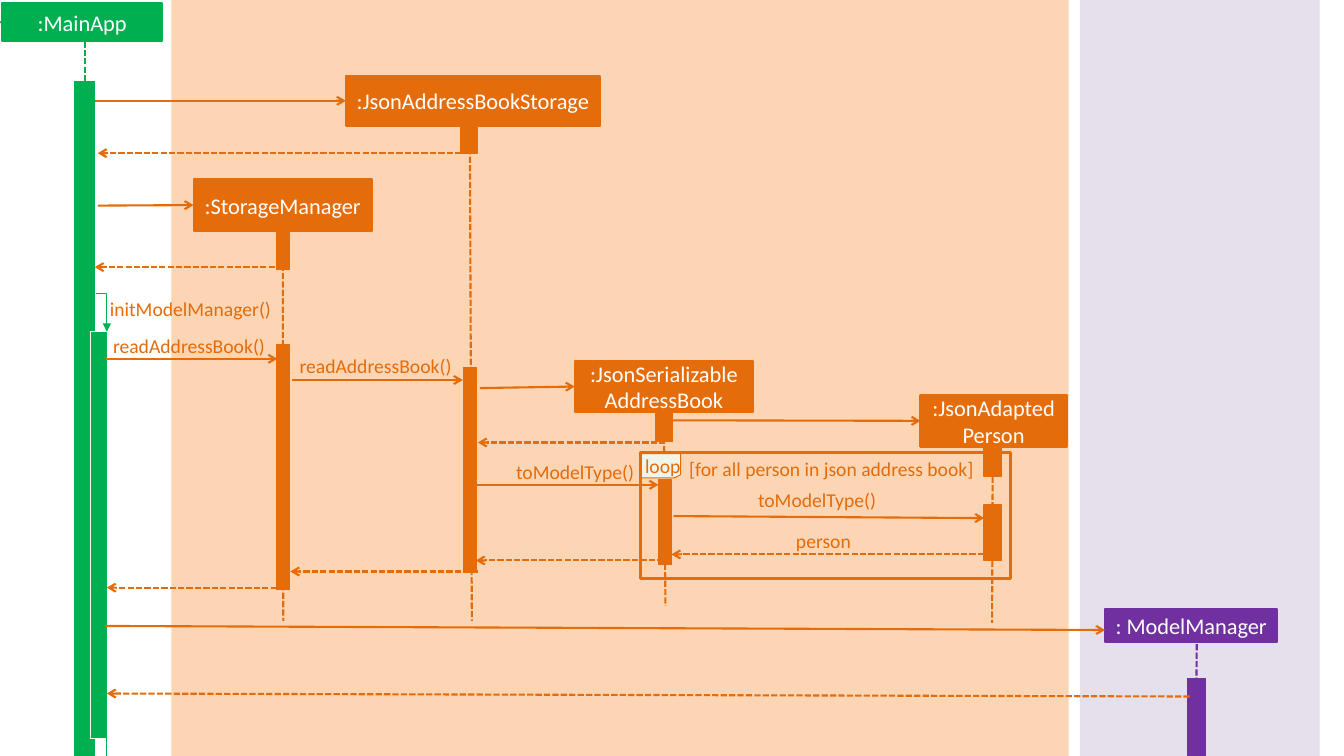
from lxml import etree
from pptx import Presentation
from pptx.dml.color import RGBColor
from pptx.enum.dml import MSO_LINE
from pptx.enum.shapes import MSO_CONNECTOR, MSO_SHAPE
from pptx.enum.text import MSO_ANCHOR, PP_ALIGN
from pptx.oxml.ns import qn
from pptx.util import Inches, Pt

GREEN = RGBColor(0x00, 0xB0, 0x50)
ORANGE = RGBColor(0xE4, 0x6C, 0x0A)
PURPLE = RGBColor(0x70, 0x30, 0xA0)
PEACH = RGBColor(0xFC, 0xD5, 0xB5)
LAVENDER = RGBColor(0xE6, 0xE0, 0xEC)
CREAM = RGBColor(0xF1, 0xF5, 0xE9)
WHITE = RGBColor(0xFF, 0xFF, 0xFF)

RECTANGLE = MSO_SHAPE.RECTANGLE
STRAIGHT, ELBOW = MSO_CONNECTOR.STRAIGHT, MSO_CONNECTOR.ELBOW
DASH = MSO_LINE.SQUARE_DOT
LEFT, CENTER, RIGHT = PP_ALIGN.LEFT, PP_ALIGN.CENTER, PP_ALIGN.RIGHT
TOP, MIDDLE = MSO_ANCHOR.TOP, MSO_ANCHOR.MIDDLE
LEFT_SIDE, BOTTOM_SIDE = 1, 2
BOTTOM = 7.5


def write(s, text, size=14, color=ORANGE, align=RIGHT, anchor=TOP, inset=0):
    tf = s.text_frame
    tf.word_wrap = True
    tf.vertical_anchor = anchor
    tf.margin_left = tf.margin_right = Inches(inset)
    tf.margin_top = tf.margin_bottom = Inches(inset / 2)
    p = tf.paragraphs[0]
    p.alignment = align
    r = p.add_run()
    r.text = text
    r.font.name = "Calibri"
    r.font.size = Pt(size)
    r.font.color.rgb = color


def paint(s, fill=None, line=None, width=0.75):
    s.shadow.inherit = False
    if fill is None:
        s.fill.background()
    else:
        s.fill.solid()
        s.fill.fore_color.rgb = fill
    if line is None:
        s.line.fill.background()
    else:
        s.line.color.rgb = line
        s.line.width = Pt(width)


def add_box(sp, x, y, w, h, fill=None, line=None, width=0.75):
    s = sp.add_shape(RECTANGLE, Inches(x), Inches(y), Inches(w), Inches(h))
    paint(s, fill, line, width)
    return s


def add_participant(sp, name, x, y, w, h, color=ORANGE):
    s = add_box(sp, x, y, w, h, color, color, 1.5)
    write(s, name, size=16, color=WHITE, align=CENTER, anchor=MIDDLE, inset=0.1)
    return s


def add_activation(sp, x, y, w, h, color=ORANGE):
    return add_box(sp, x, y, w, h, color, color)


def add_line(sp, x1, y1, x2, y2, color=ORANGE, width=1.5, dashed=False,
             arrow=None, kind=STRAIGHT):
    s = sp.add_connector(kind, Inches(x1), Inches(y1), Inches(x2), Inches(y2))
    s.line.color.rgb = color
    s.line.width = Pt(width)
    if dashed:
        s.line.dash_style = DASH
    properties = s.line._get_or_add_ln()
    if arrow:
        etree.SubElement(properties, qn("a:tailEnd"), type=arrow)
    etree.SubElement(properties.getparent(), qn("a:effectLst"))
    return s


def add_lifeline(sp, x1, y1, x2, y2, color=ORANGE, source=None):
    s = add_line(sp, x1, y1, x2, y2, color, dashed=True)
    if source is not None:
        s.begin_connect(source, BOTTOM_SIDE)


def add_call(sp, x1, y1, x2, y2, color=ORANGE, target=None):
    s = add_line(sp, x1, y1, x2, y2, color, arrow="arrow")
    if target is not None:
        s.end_connect(target, LEFT_SIDE)


def add_return(sp, x1, y1, x2, y2):
    add_line(sp, x1, y1, x2, y2, dashed=True, arrow="arrow")


def add_self_call(sp, x1, y1, x2, y2):
    s = add_line(sp, x1, y1, x2, y2, GREEN, 0.75, arrow="triangle", kind=ELBOW)
    s._element.spPr.find(qn("a:prstGeom")).set("prst", "bentConnector2")


def add_label(sp, text, x, y, w, align=RIGHT):
    s = sp.add_textbox(Inches(x), Inches(y), Inches(w), Inches(0.24))
    write(s, text, align=align)


def add_loop_tab(sp):
    corners = [(6.75, 4.5), (6.75, 4.71), (6.69, 4.74), (6.36, 4.74)]
    outline = sp.build_freeform(Inches(6.36), Inches(4.5))
    outline.add_line_segments([(Inches(x), Inches(y)) for x, y in corners], close=True)
    s = outline.convert_to_shape()
    paint(s, CREAM, ORANGE)
    write(s, "loop")


def main():
    prs = Presentation()
    prs.slide_width, prs.slide_height = Inches(13.33), Inches(BOTTOM)
    sp = prs.slides.add_slide(prs.slide_layouts[6]).shapes

    add_box(sp, 1.7, 0, 8.9, BOTTOM, PEACH)
    add_box(sp, 10.71, 0, 2.38, BOTTOM, LAVENDER)

    main_app = add_participant(sp, ":MainApp", 0.02, 0.03, 1.59, 0.38, GREEN)
    add_lifeline(sp, 0.84, 0.41, 0.84, BOTTOM, GREEN)
    add_activation(sp, 0.74, 0.81, 0.2, BOTTOM - 0.81, GREEN)
    add_box(sp, 0.9, 3.29, 0.17, 4.04, GREEN, WHITE)

    add_lifeline(sp, 4.66, 1.22, 4.68, 6.16)
    book_storage = add_participant(sp, ":JsonAddressBookStorage", 3.43, 0.75, 2.52, 0.5)
    storage = add_participant(sp, ":StorageManager", 1.92, 1.78, 1.77, 0.51)
    add_lifeline(sp, 2.81, 2.29, 2.81, 6.16, source=storage)
    json_book = add_participant(sp, ":JsonSerializableAddressBook", 5.7, 3.58, 1.77, 0.51)
    add_lifeline(sp, 6.58, 4.09, 6.6, 6.01, source=json_book)
    person = add_participant(sp, ":JsonAdaptedPerson", 9.13, 3.92, 1.45, 0.51)
    add_participant(sp, ": ModelManager", 10.96, 6.04, 1.71, 0.33, PURPLE)
    add_lifeline(sp, 11.87, 6.39, 11.86, BOTTOM, PURPLE)
    add_activation(sp, 11.78, 6.73, 0.18, BOTTOM - 6.73, PURPLE)

    for x, y, w, h in [
        (2.74, 2.31, 0.13, 0.36), (2.74, 3.42, 0.13, 2.43),
        (4.57, 1.22, 0.17, 0.3), (4.6, 3.65, 0.13, 2.03),
        (6.5, 4.08, 0.17, 0.3), (6.53, 4.76, 0.13, 0.84),
        (9.76, 5.01, 0.17, 0.55),
    ]:
        add_activation(sp, x, y, w, h)

    add_box(sp, 6.35, 4.49, 3.67, 1.25, line=ORANGE, width=2)
    add_loop_tab(sp)
    person_creation = add_activation(sp, 9.76, 4.43, 0.17, 0.3)
    add_lifeline(sp, 9.84, 4.73, 9.84, 6.18, source=person_creation)

    add_call(sp, 0, 0.22, 0.02, 0.22, GREEN, main_app)
    for x1, y1, x2, y2, target in [
        (0.94, 1, 3.43, 1, book_storage),
        (0.97, 2.04, 1.92, 2.04, storage),
        (1.05, 3.56, 2.75, 3.56, None),
        (2.9, 3.77, 4.59, 3.77, None),
        (4.76, 3.85, 5.7, 3.85, json_book),
        (6.62, 4.17, 9.13, 4.17, person),
        (4.71, 4.81, 6.53, 4.81, None),
        (6.68, 5.12, 9.76, 5.14, None),
        (1.04, 6.21, 10.96, 6.25, None),
    ]:
        add_call(sp, x1, y1, x2, y2, target=target)

    for x1, y1, x2, y2 in [
        (4.66, 1.52, 0.97, 1.52), (2.81, 2.65, 0.94, 2.65),
        (6.6, 4.39, 4.74, 4.39), (9.76, 5.5, 6.66, 5.5),
        (6.58, 5.56, 4.72, 5.56), (4.74, 5.67, 2.88, 5.67),
        (2.83, 5.83, 1.06, 5.83), (11.8, 6.91, 1.06, 6.88),
    ]:
        add_return(sp, x1, y1, x2, y2)

    add_self_call(sp, 0.95, 2.91, 1.06, 3.29)
    add_line(sp, 1.06, 7.17, 1.06, BOTTOM, GREEN, 0.75)

    add_label(sp, "initModelManager()", 1.09, 2.95, 2.24, LEFT)
    for text, x, y, w in [
        ("readAddressBook()", 1.12, 3.31, 1.51),
        ("readAddressBook()", 2.97, 3.51, 1.51),
        ("toModelType()", 4.78, 4.56, 1.51),
        ("[for all person in json address book]", 6.78, 4.53, 2.88),
        ("toModelType()", 7.51, 4.84, 1.18),
        ("person", 7.26, 5.25, 1.18),
    ]:
        add_label(sp, text, x, y, w)

    prs.save("out.pptx")


if __name__ == "__main__":
    main()
